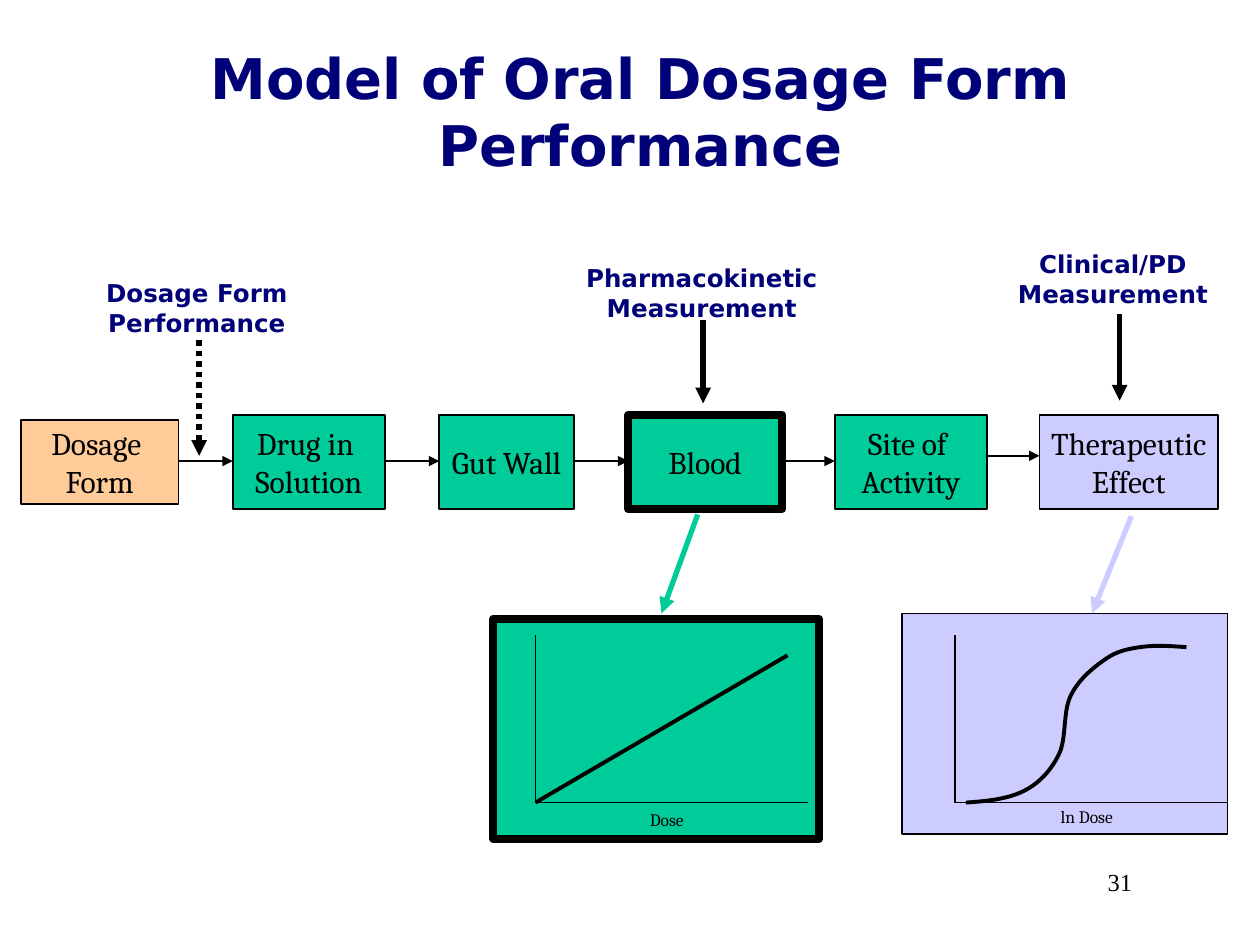
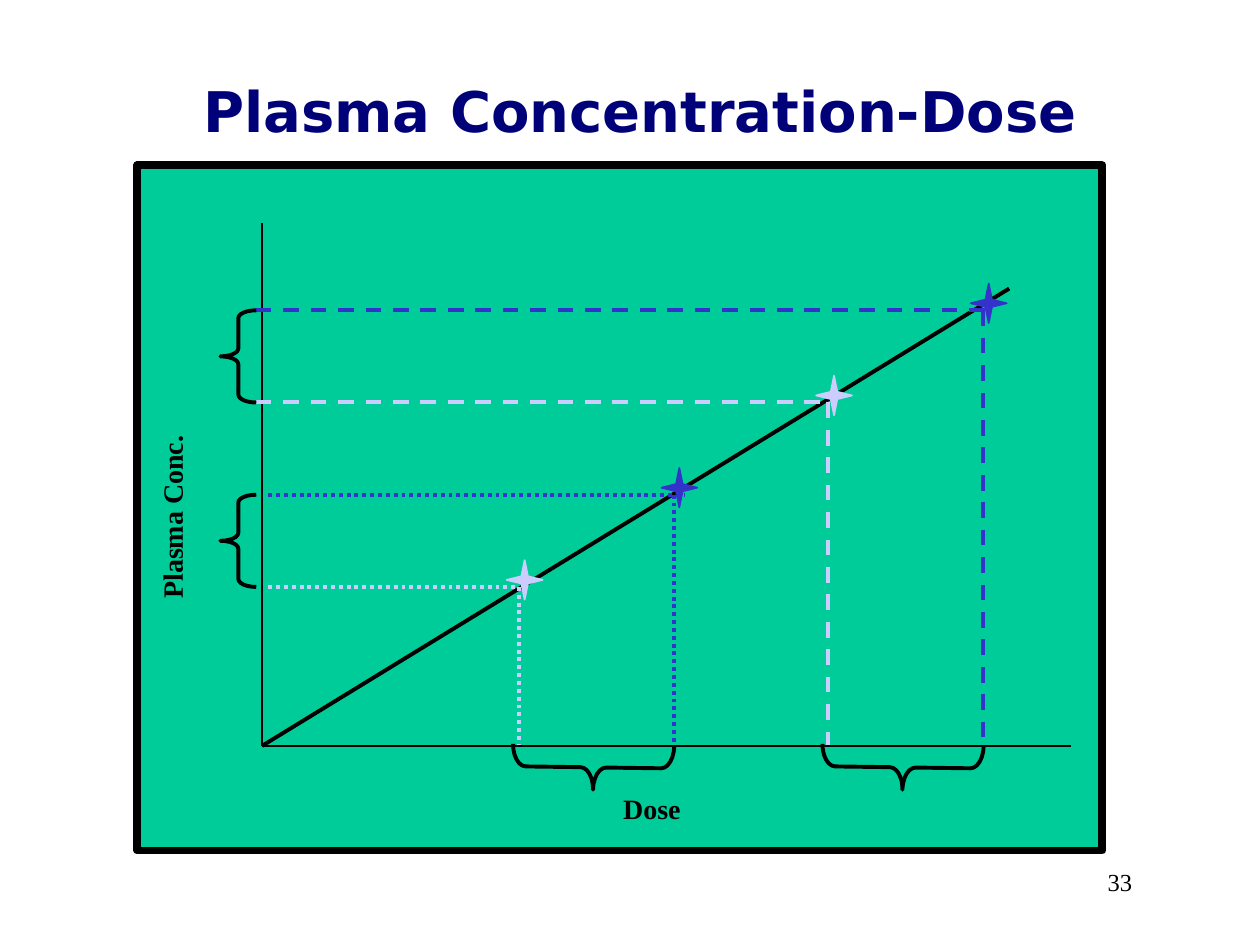
from lxml import etree
from pptx import Presentation
from pptx.dml.color import RGBColor
from pptx.enum.dml import MSO_LINE
from pptx.enum.shapes import MSO_CONNECTOR, MSO_SHAPE
from pptx.enum.text import MSO_ANCHOR, PP_ALIGN
from pptx.oxml.ns import qn
from pptx.util import Pt

COLORS = {"navy": "000078", "black": "000000", "green": "00CC99",
          "lilac": "CCCCFF", "peach": "FFCC99", "blue": "3333CC"}
HEADING, BODY, SERIF = "DejaVu Sans", "Cambria", "Times New Roman"

# Slide 1 content: steps are (lines, left, top, width, height, fill, border)
STEPS = [
    (["Dosage ", "Form"], 12, 240, 90, 48, "peach", 1),
    (["Drug in ", "Solution"], 133, 237, 87, 54, "green", 1),
    (["Gut Wall"], 251, 237, 77, 54, "green", 1),
    (["Blood"], 359, 237, 88, 54, "green", 4.5),
    (["Site of ", "Activity"], 477, 237, 87, 54, "green", 1),
    (["Therapeutic", "Effect"], 594, 237, 102, 54, "lilac", 1),
]
STEP_ARROW_Y = [263.5, 263.5, 263.5, 263.5, 260.5]
# (text, left, top, width, arrow x, arrow top, arrow bottom, dash)
MEASUREMENTS = [
    ("Dosage Form Performance", 52.5, 155.5, 120, 113.8, 194.5, 260.5, MSO_LINE.ROUND_DOT),
    ("Pharmacokinetic Measurement", 324, 147, 154, 401.8, 183, 230.5, None),
    ("Clinical/PD Measurement", 574, 139, 124, 639.8, 179.5, 229, None),
]
# (axis label, label left, label top, panel left, panel top, fill, border, axis x)
PANELS = [
    ("Dose", 342, 458.5, 282, 353.5, "green", 4.5, 306),
    ("ln Dose", 582, 457, 515.5, 350.5, "lilac", 1, 545.8),
]
PANEL_SIZE = (186, 126)
PANEL_AXIS = {"top": 363, "base": 458.6, "length": 156}
PANEL_ARROWS = [((398.7, 294), (378, 350.5), "green"),
                ((646.5, 295), (624, 350.5), "lilac")]
# Start point, then control, control and end point of every curve piece
RESPONSE_CURVE = [
    (678, 369.8), (669, 369.2), (660, 368.5), (651.5, 369.8), (643.5, 371),
    (638, 372.2), (631.5, 376.8), (625, 381.3), (616.5, 388), (612, 397.2),
    (607.2, 406.3), (609.7, 422), (605, 431.3), (600.3, 440.5), (594, 447.5),
    (585, 452), (576, 456.5), (564.5, 457.8), (552, 458.6)]

# Slide 2 content
PLOT_PANEL = (78.5, 94.5, 551.5, 391.5)
ORIGIN = (149.8, 426.2)
AXIS_TOP, AXIS_RIGHT, LINE_END = 127.5, 612, (576.7, 164.9)
FIRST_READING, READING_STEP = (296.6, 335.4), (88.4, -52.7)
READING_COLORS = ["lilac", "blue", "lilac", "blue"]
# (dash, start of guide lines, reading indexes)
READING_PAIRS = [(MSO_LINE.ROUND_DOT, 153.3, (0, 1)), (MSO_LINE.DASH, 146.2, (2, 3))]
STAR_SIZE = (20.5, 22.5)


def rgb(name):
    return RGBColor.from_string(COLORS[name])


def write(frame, lines, font, size, color="black", bold=False, align=PP_ALIGN.CENTER):
    for index, line in enumerate(lines):
        paragraph = frame.paragraphs[0] if index == 0 else frame.add_paragraph()
        paragraph.text = line
        paragraph.alignment = align
        paragraph.font.name, paragraph.font.size = font, Pt(size)
        paragraph.font.bold = bold
        paragraph.font.color.rgb = rgb(color)


def label(slide, text, box, font, size, wrap=True, **style):
    holder = slide.shapes.add_textbox(*map(Pt, box))
    holder.text_frame.word_wrap = wrap
    write(holder.text_frame, [text], font, size, **style)
    return holder


def preset(slide, kind, box, fill=None, outline="black", width=1):
    shape = slide.shapes.add_shape(kind, *map(Pt, box))
    shape.shadow.inherit = False
    if fill:
        shape.fill.solid()
        shape.fill.fore_color.rgb = rgb(fill)
    else:
        shape.fill.background()
    shape.line.color.rgb, shape.line.width = rgb(outline), Pt(width)
    return shape


def line(slide, start, end, color="black", width=1, dash=None, arrow=False):
    connector = slide.shapes.add_connector(MSO_CONNECTOR.STRAIGHT, *map(Pt, (*start, *end)))
    connector.line.color.rgb, connector.line.width = rgb(color), Pt(width)
    if dash:
        connector.line.dash_style = dash
    properties = connector._element.spPr
    if arrow:
        etree.SubElement(properties.find(qn("a:ln")), qn("a:tailEnd"), type="triangle")
    etree.SubElement(properties, qn("a:effectLst"))


def smooth_curve(slide, points, steps=10):
    traced = []
    for i in range(0, len(points) - 1, 3):
        for t in (n / steps for n in range(1, steps + 1)):
            weights = ((1 - t) ** 3, 3 * t * (1 - t) ** 2, 3 * t * t * (1 - t), t ** 3)
            traced.append(tuple(
                int(Pt(sum(w * p[axis] for w, p in zip(weights, points[i:i + 4]))))
                for axis in (0, 1)))
    builder = slide.shapes.build_freeform(*map(Pt, points[0]))
    builder.add_line_segments(traced, close=False)
    curve = builder.convert_to_shape()
    curve.shadow.inherit = False
    curve.fill.background()
    curve.line.color.rgb, curve.line.width = rgb("black"), Pt(2.25)


def brace(slide, center, thickness, length, roundness, rotation=0):
    x, y = center
    shape = preset(slide, MSO_SHAPE.LEFT_BRACE,
                   (x - thickness / 2, y - length / 2, thickness, length), width=2.25)
    shape.adjustments[0] = roundness
    shape.rotation = rotation


def start_slide(deck, title, number):
    slide = deck.slides.add_slide(deck.slide_layouts[5])
    heading = slide.shapes.title
    heading.left, heading.top, heading.width, heading.height = map(Pt, (72, 24, 588, 78))
    heading.text_frame.word_wrap = True
    heading.text_frame.vertical_anchor = MSO_ANCHOR.MIDDLE
    write(heading.text_frame, [title], HEADING, 32, "navy", True)
    label(slide, number, (570, 492, 84, 36), SERIF, 14, align=PP_ALIGN.RIGHT)
    return slide


def build_model(deck):
    slide = start_slide(deck, "Model of Oral Dosage Form Performance", "31")

    # Chain of steps
    for lines, left, top, width, height, fill, border in STEPS:
        step = preset(slide, MSO_SHAPE.RECTANGLE, (left, top, width, height), fill, width=border)
        step.text_frame.word_wrap = False
        step.text_frame.vertical_anchor = MSO_ANCHOR.MIDDLE
        write(step.text_frame, lines, BODY, 18)
    for before, after, y in zip(STEPS, STEPS[1:], STEP_ARROW_Y):
        line(slide, (before[1] + before[3], y), (after[1], y), arrow=True)

    # Measurements above the chain
    for text, left, top, width, x, start, end, dash in MEASUREMENTS:
        label(slide, text, (left, top, width, 41), HEADING, 14, color="navy", bold=True)
        line(slide, (x, start), (x, end), width=3, dash=dash, arrow=True)

    # Response panels
    base, length = PANEL_AXIS["base"], PANEL_AXIS["length"]
    for text, text_left, text_top, left, top, fill, border, axis in PANELS:
        preset(slide, MSO_SHAPE.RECTANGLE, (left, top, *PANEL_SIZE), fill, width=border)
        line(slide, (axis, PANEL_AXIS["top"]), (axis, base))
        line(slide, (axis, base), (axis + length, base))
        label(slide, text, (text_left, text_top, 78, 19.5), BODY, 10)
    line(slide, (306, base), (450, 374.5), width=2.25)
    smooth_curve(slide, RESPONSE_CURVE)
    for start, end, color in PANEL_ARROWS:
        line(slide, start, end, color, 3, arrow=True)


def build_plasma_plot(deck):
    slide = start_slide(deck, "Plasma Concentration-Dose", "33")

    # Panel, axes and dose line
    preset(slide, MSO_SHAPE.RECTANGLE, PLOT_PANEL, "green", width=4.5)
    line(slide, (ORIGIN[0], AXIS_TOP), ORIGIN)
    line(slide, ORIGIN, (AXIS_RIGHT, ORIGIN[1]))
    line(slide, ORIGIN, LINE_END, width=2.25)
    label(slide, "Dose", (256.5, 448.5, 232, 26.5), SERIF, 16, bold=True)
    concentration = label(slide, "Plasma Conc.", (44.6, 282.2, 107.3, 26.6), SERIF, 16,
                          wrap=False, bold=True, align=PP_ALIGN.LEFT)
    concentration.rotation = 270

    # Readings with guide lines, and a brace on each axis per pair
    readings = [tuple(first + n * step for first, step in zip(FIRST_READING, READING_STEP))
                for n in range(len(READING_COLORS))]
    star_width, star_height = STAR_SIZE
    for dash, guide_start, pair in READING_PAIRS:
        for n in pair:
            (x, y), color = readings[n], READING_COLORS[n]
            overshoot = 6.5 if color == "blue" else 0
            line(slide, (guide_start, y), (x + overshoot, y), color, 2.25, dash)
            star = preset(slide, MSO_SHAPE.STAR_4_POINT,
                          (x + 3.2 - star_width / 2, y - 4 - star_height / 2, *STAR_SIZE),
                          color, color)
            star.adjustments[0] = 0.13
            line(slide, (x, y), (x, 425.5), color, 2.25, dash)
        (low_x, low_y), (high_x, high_y) = (readings[n] for n in pair)
        brace(slide, (136.2, (low_y + high_y) / 2), 20.5, low_y - high_y, 0.22)
        brace(slide, ((low_x + high_x) / 2 - 1.7, 438.5), 25.5, high_x - low_x + 3.6, 0.29, 270.8)


def main():
    deck = Presentation()
    deck.slide_width, deck.slide_height = Pt(720), Pt(540)
    build_model(deck)
    build_plasma_plot(deck)
    deck.save("out.pptx")


if __name__ == "__main__":
    main()
